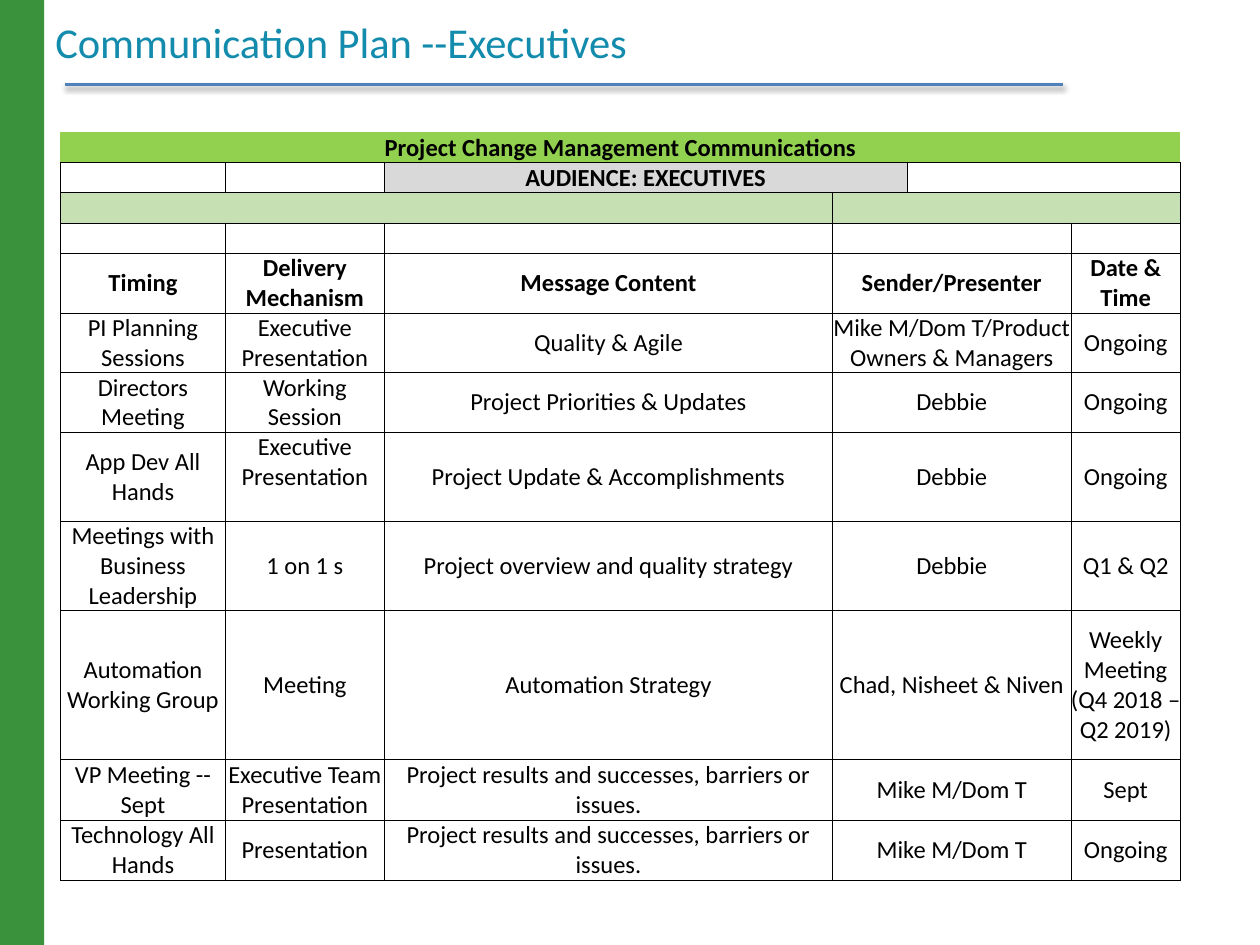
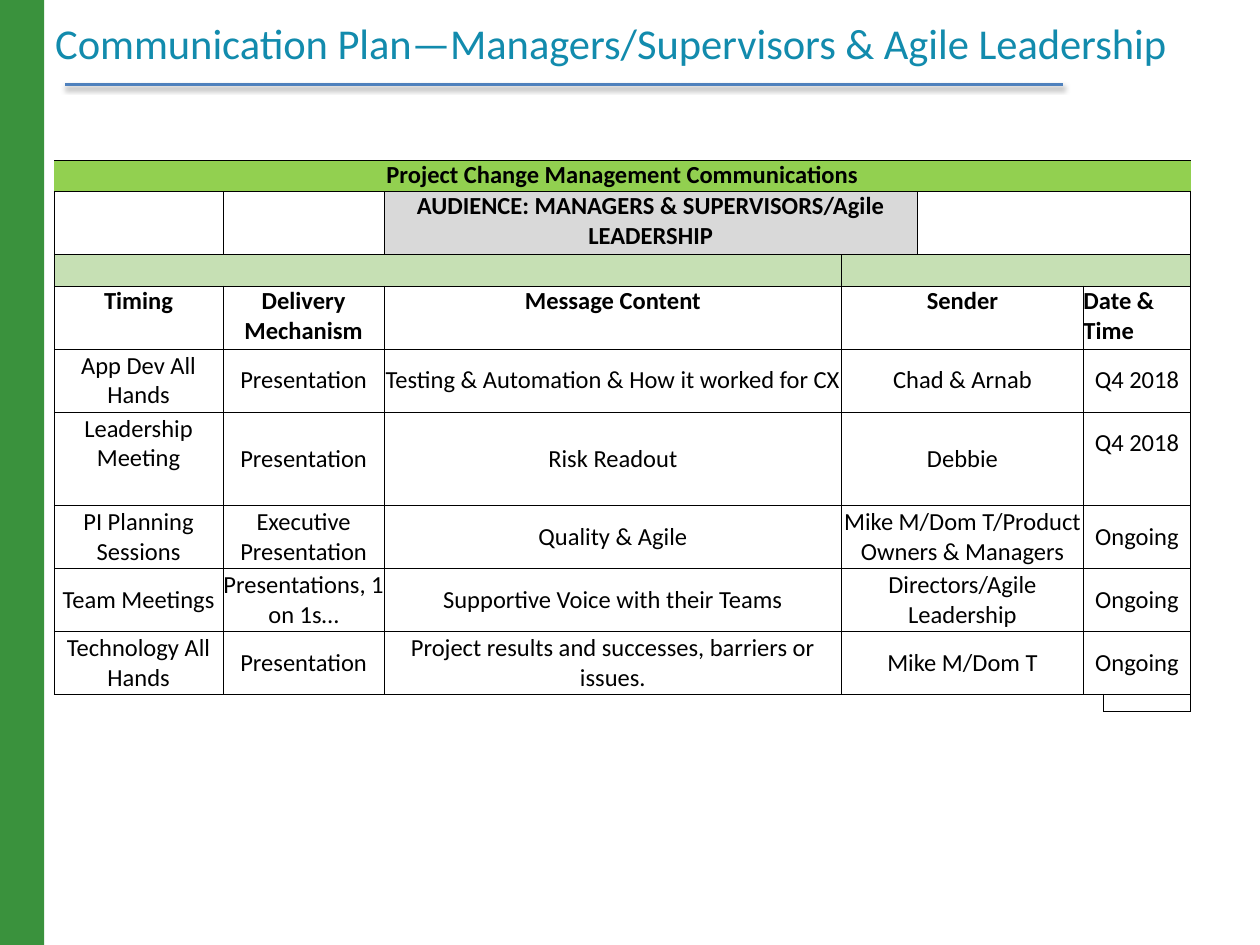
import pptx
import pptx.util
import pptx.dml.color
import pptx.enum.shapes
import pptx.enum.text
import pptx.oxml
import pptx.oxml.ns
from lxml import etree

Inches, Pt = pptx.util.Inches, pptx.util.Pt
RGBColor = pptx.dml.color.RGBColor
ANCHOR = pptx.enum.text.MSO_ANCHOR
ALIGN = pptx.enum.text.PP_ALIGN
qn = pptx.oxml.ns.qn

# Shared look
SIDE_GREEN = RGBColor(0x3A, 0x92, 0x3D)
RULE_BLUE = RGBColor(0x4F, 0x81, 0xBD)
TITLE_TEAL = RGBColor(0x12, 0x8B, 0xAD)
BANNER_GREEN = RGBColor(0x92, 0xD0, 0x50)
BAND_GREEN = RGBColor(0xC6, 0xE0, 0xB4)
AUDIENCE_GRAY = RGBColor(0xD9, 0xD9, 0xD9)
WHITE = RGBColor(0xFF, 0xFF, 0xFF)
BLACK = RGBColor(0, 0, 0)
FONT = "Calibri"
PLAIN_STYLE = "{2D5ABB26-0587-4C30-8999-92F81FD0307C}"
BANNER = "Project Change Management Communications"
RESULTS = "Project results and successes, barriers or issues."
PRODUCT_TEAM = "Mike M/Dom T/Product Owners & Managers"
LINE_HEIGHT = 0.24

# Content: "spans" gives the columns taken by each cell of a heading or body row,
# "lifted" the (body row, cell) pairs whose text sits half a line above the middle
PLANS = [
    {
        "title": "Communication Plan --Executives",
        "title_at": (0.34, 0.2, 7.05, 0.38),
        "table_at": (0.48, 1.05),
        "columns": [1.31, 1.26, 3.56, 0.59, 1.3, 0.87],
        "rows": [0.24] * 4 + [0.48, 0.47, 0.47, 0.71, 0.71, 1.18, 0.48, 0.48],
        "spans": [1, 1, 1, 2, 1],
        "banner_borders": "B",
        "banner_anchor": ANCHOR.BOTTOM,
        "audience": "AUDIENCE: EXECUTIVES",
        "audience_spans": [1, 1, 2, 2],
        "band_spans": [3, 3],
        "spacer": True,
        "headings": ["Timing", "Delivery Mechanism", "Message Content",
                     "Sender/Presenter", "Date & Time"],
        "heading_anchor": ANCHOR.MIDDLE,
        "last_heading_align": ALIGN.CENTER,
        "body": [
            ["PI Planning Sessions", "Executive Presentation", "Quality & Agile",
             PRODUCT_TEAM, "Ongoing"],
            ["Directors Meeting", "Working Session", "Project Priorities & Updates",
             "Debbie", "Ongoing"],
            ["App Dev All Hands", "Executive Presentation",
             "Project Update & Accomplishments", "Debbie", "Ongoing"],
            ["Meetings with Business Leadership", "1 on 1 s",
             "Project overview and quality strategy", "Debbie", "Q1 & Q2"],
            ["Automation Working Group", "Meeting", "Automation Strategy",
             "Chad, Nisheet & Niven", "Weekly Meeting (Q4 2018 – Q2 2019)"],
            ["VP Meeting -- Sept", "Executive Team Presentation", RESULTS,
             "Mike M/Dom T", "Sept"],
            ["Technology All Hands", "Presentation", RESULTS, "Mike M/Dom T", "Ongoing"],
        ],
        "lifted": {(2, 1)},
        "tail": [],
    },
    {
        "title": "Communication Plan—Managers/Supervisors & Agile Leadership",
        "title_at": (0.34, -0.03, 9.3, 0.62),
        "table_at": (0.43, 1.27),
        "columns": [1.34, 1.28, 2.36, 1.27, 0.6, 1.32, 0.16, 0.69],
        "rows": [0.25, 0.5, 0.25, 0.5, 0.5, 0.74, 0.5, 0.5, 0.5, 0.13],
        "spans": [1, 1, 2, 2, 2],
        "banner_borders": "TB",
        "banner_anchor": ANCHOR.TOP,
        "audience": "AUDIENCE: MANAGERS & SUPERVISORS/Agile LEADERSHIP",
        "audience_spans": [1, 1, 3, 3],
        "band_spans": [4, 4],
        "spacer": False,
        "headings": ["Timing", "Delivery Mechanism", "Message Content",
                     "Sender", "Date & Time"],
        "heading_anchor": ANCHOR.TOP,
        "last_heading_align": ALIGN.LEFT,
        "body": [
            ["App Dev All Hands", "Presentation",
             "Testing & Automation & How it worked for CX", "Chad & Arnab", "Q4 2018"],
            ["Leadership Meeting", "Presentation", "Risk Readout", "Debbie", "Q4 2018"],
            ["PI Planning Sessions", "Executive Presentation", "Quality & Agile",
             PRODUCT_TEAM, "Ongoing"],
            ["Team Meetings", "Presentations, 1 on 1s…",
             "Supportive Voice with their Teams", "Directors/Agile Leadership", "Ongoing"],
            ["Technology All Hands", "Presentation", RESULTS, "Mike M/Dom T", "Ongoing"],
        ],
        "lifted": {(1, 0), (1, 4)},
        # Closing row: columns taken and bordered sides
        "tail": [(1, "T"), (1, "T"), (1, "T"), (2, "T"), (2, "TR"), (1, "LRTB")],
    },
]


def entry(text="", span=1, fill=None, bold=False, anchor=ANCHOR.MIDDLE,
          align=ALIGN.CENTER, borders="LRTB", lift=0):
    return dict(text=text, span=span, fill=fill, bold=bold, anchor=anchor,
                align=align, borders=borders, lift=lift)


def plan_rows(plan):
    """List the table's rows, each a list of cell entries from left to right."""
    spans = plan["spans"]
    rows = [[entry(BANNER, sum(spans), BANNER_GREEN, True, plan["banner_anchor"],
                   borders=plan["banner_borders"])]]
    rows.append([entry(plan["audience"], span, AUDIENCE_GRAY, True, plan["banner_anchor"])
                 if i == 2 else entry(span=span)
                 for i, span in enumerate(plan["audience_spans"])])
    rows.append([entry(span=span, fill=BAND_GREEN) for span in plan["band_spans"]])
    if plan["spacer"]:
        rows.append([entry(span=span, fill=WHITE) for span in spans])
    headings = [entry(text, span, WHITE, True, plan["heading_anchor"])
                for text, span in zip(plan["headings"], spans)]
    headings[-1]["align"] = plan["last_heading_align"]
    rows.append(headings)
    for r, texts in enumerate(plan["body"]):
        rows.append([entry(text, span, WHITE,
                           lift=LINE_HEIGHT if (r, c) in plan["lifted"] else 0)
                     for c, (text, span) in enumerate(zip(texts, spans))])
    if plan["tail"]:
        rows.append([entry(span=span, borders=sides) for span, sides in plan["tail"]])
    return rows


def style_run(run, size, color, bold=False):
    run.font.name, run.font.size, run.font.bold = FONT, Pt(size), bold
    run.font.color.rgb = color


def dress_cell(cell, look):
    """Set fill, insets and borders of one grid cell."""
    cell.margin_left = cell.margin_right = cell.margin_top = 0
    cell.margin_bottom = Inches(look["lift"])
    cell.vertical_anchor = look["anchor"]
    if look["fill"] is None:
        cell.fill.background()
    else:
        cell.fill.solid()
        cell.fill.fore_color.rgb = look["fill"]
    properties = cell._tc.get_or_add_tcPr()
    sides = [side for side in "LRTB" if side in look["borders"]]
    for position, side in enumerate(sides):
        border = etree.Element(qn("a:ln" + side), w=str(Pt(0.5)))
        paint = etree.SubElement(border, qn("a:solidFill"))
        etree.SubElement(paint, qn("a:srgbClr"), val=str(BLACK))
        properties.insert(position, border)
    # Keep empty cells from stretching their row
    paragraph = cell.text_frame.paragraphs[0]
    if not look["text"]:
        etree.SubElement(paragraph._p, qn("a:endParaRPr"), sz="800")


def add_plan_table(slide, plan):
    rows = plan_rows(plan)
    left, top = plan["table_at"]
    table = slide.shapes.add_table(
        len(rows), len(plan["columns"]), Inches(left), Inches(top),
        Inches(sum(plan["columns"])), Inches(sum(plan["rows"]))).table
    table.first_row = table.horz_banding = False
    table._tbl.tblPr.find(qn("a:tableStyleId")).text = PLAIN_STYLE
    for column, width in zip(table.columns, plan["columns"]):
        column.width = Inches(width)
    for row, height in zip(table.rows, plan["rows"]):
        row.height = Inches(height)

    for r, looks in enumerate(rows):
        start = 0
        for look in looks:
            end = start + look["span"]
            first = table.cell(r, start)
            if look["text"]:
                paragraph = first.text_frame.paragraphs[0]
                paragraph.alignment = look["align"]
                run = paragraph.add_run()
                run.text = look["text"]
                style_run(run, 14, BLACK, look["bold"])
            for c in range(start, end):
                dress_cell(table.cell(r, c), look)
            if look["span"] > 1:
                first.merge(table.cell(r, end - 1))
            start = end


def add_frame(slide, plan, slide_height):
    """Draw the side band, the shadowed rule and the title."""
    band = slide.shapes.add_shape(pptx.enum.shapes.MSO_SHAPE.RECTANGLE,
                                  0, 0, Inches(0.35), slide_height)
    band.shadow.inherit = False
    band.fill.solid()
    band.fill.fore_color.rgb = SIDE_GREEN
    band.line.fill.background()

    rule = slide.shapes.add_connector(pptx.enum.shapes.MSO_CONNECTOR.STRAIGHT,
                                      Inches(0.52), Inches(0.67), Inches(8.44), Inches(0.67))
    rule.line.color.rgb = RULE_BLUE
    rule.line.width = Pt(2)
    effects = etree.SubElement(rule._element.spPr, qn("a:effectLst"))
    shadow = etree.SubElement(effects, qn("a:outerShdw"), blurRad=str(Pt(3.1)),
                              dist=str(Pt(1.6)), dir="5400000", rotWithShape="0")
    tint = etree.SubElement(shadow, qn("a:srgbClr"), val=str(BLACK))
    etree.SubElement(tint, qn("a:alpha"), val="38000")

    title = slide.shapes.add_textbox(*map(Inches, plan["title_at"])).text_frame
    title.word_wrap = True
    title.vertical_anchor = ANCHOR.BOTTOM
    run = title.paragraphs[0].add_run()
    run.text = plan["title"]
    style_run(run, 24.3, TITLE_TEAL)


def main():
    deck = pptx.Presentation()
    deck.slide_width, deck.slide_height = Inches(10), Inches(7.5)
    for plan in PLANS:
        slide = deck.slides.add_slide(deck.slide_layouts[6])
        add_frame(slide, plan, deck.slide_height)
        add_plan_table(slide, plan)
    deck.save("out.pptx")


if __name__ == "__main__":
    main()
